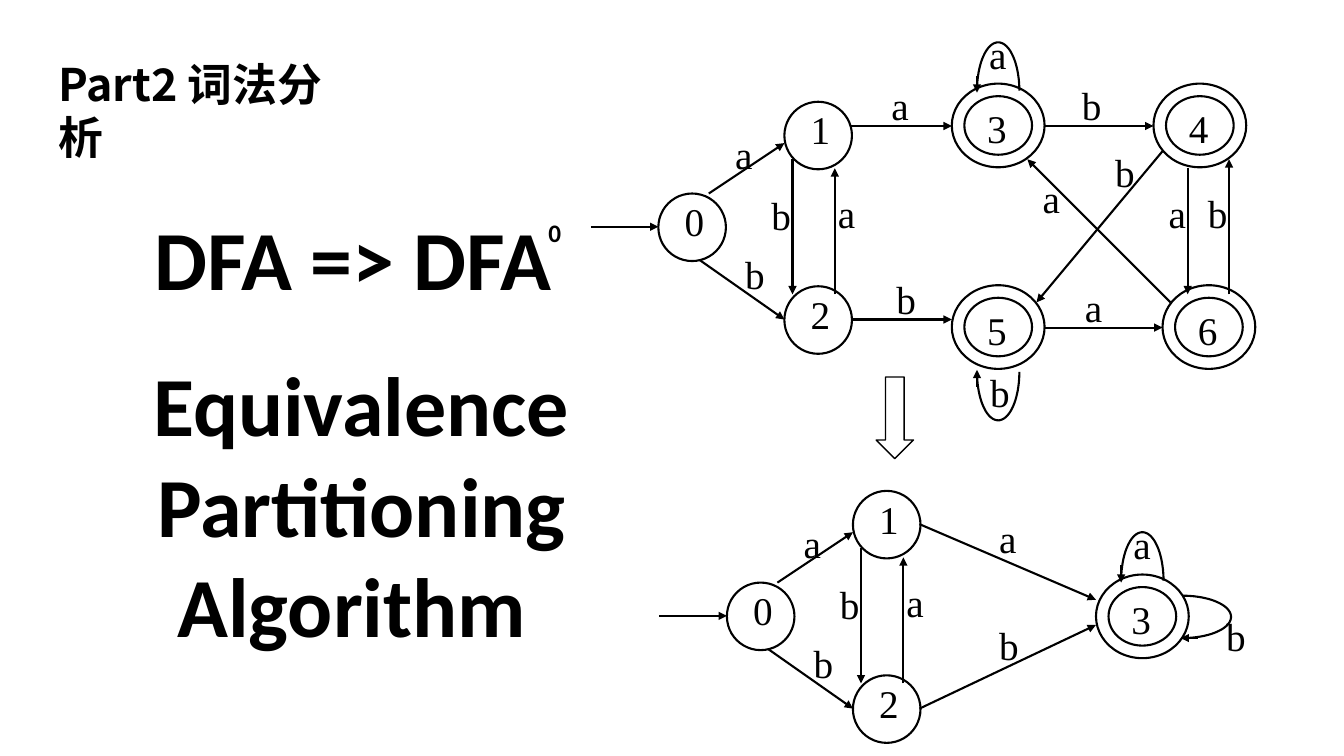
from dataclasses import dataclass
from math import cos, pi, sin

from lxml.etree import SubElement
from pptx import Presentation
from pptx.dml.color import RGBColor
from pptx.enum.shapes import MSO_CONNECTOR, MSO_SHAPE as Shape
from pptx.enum.text import MSO_ANCHOR as Anchor, MSO_AUTO_SIZE as AutoSize, PP_ALIGN as Align
from pptx.oxml.ns import qn
from pptx.util import Inches, Pt


@dataclass(frozen=True)
class Theme:
    ink: RGBColor = RGBColor(0, 0, 0)
    paper: RGBColor = RGBColor(255, 255, 255)
    heading_font: str = "Calibri"
    chapter_font: str = "Noto Sans CJK SC"
    state_font: str = "Times New Roman"
    heading_size: int = 60
    chapter_size: int = 32
    state_size: int = 28
    index_size: int = 18
    line: float = 1.5
    thin_line: float = 1


THEME = Theme()

# Content: headings
CHAPTER = "Part2 词法分析"
TITLE = "DFA => DFA"
ALGORITHM = "Equivalence Partitioning Algorithm "

# Content: states 0 to 2 and their arrows, shared by both automata (inches)
CORE = {
    "states": [("0", 6.53, 1.92), ("1", 7.78, 1.01), ("2", 7.78, 2.84)],
    "arrows": [
        (5.86, 2.25, 6.53, 2.25), (7.03, 1.92, 7.78, 1.42), (6.94, 2.58, 7.78, 3.17),
        (7.86, 1.58, 7.86, 2.92), (8.28, 2.92, 8.28, 1.67),
    ],
    "labels": [("a", 7.09, 1.24), ("a", 8.11, 1.83), ("b", 7.19, 2.43), ("b", 7.45, 1.85)],
}
CORE_SHIFTS = [(0, 0), (0.68, 3.86)]

# Content: the accepting part of each automaton; loops are (base x, base y, direction, arrow side)
UP, DOWN, LEFT, RIGHT = (0, -1), (0, 1), (-1, 0), (1, 0)
FULL = {
    "accepting": [("3", 9.44, 0.83), ("4", 11.44, 0.83), ("5", 9.44, 2.83), ("6", 11.53, 2.83)],
    "arrows": [
        (8.44, 1.25, 9.44, 1.25), (8.44, 3.17, 9.44, 3.17),
        (10.36, 1.25, 11.44, 1.25), (10.36, 3.25, 11.53, 3.25),
        (11.53, 1.5, 10.28, 3), (11.61, 3, 10.19, 1.58),
        (11.78, 1.67, 11.78, 2.92), (12.19, 2.92, 12.19, 1.58),
    ],
    "labels": [
        ("a", 8.64, 0.76), ("b", 8.69, 2.68), ("b", 10.53, 0.76), ("a", 10.56, 2.76),
        ("b", 10.86, 1.42), ("a", 10.14, 1.68), ("a", 11.39, 1.83), ("b", 11.78, 1.83),
        ("a", 9.61, 0.25), ("b", 9.62, 3.6),
    ],
    "loops": [(9.9, 0.9, UP, LEFT), (9.9, 3.69, DOWN, LEFT)],
}
MINIMAL = {
    "accepting": [("3", 10.87, 5.7)],
    "arrows": [(9.12, 5.2, 10.87, 5.95), (9.12, 7.03, 10.87, 6.2)],
    "labels": [("a", 9.71, 5.05), ("b", 9.71, 6.11), ("a", 11.04, 5.11), ("b", 11.96, 6.03)],
    "loops": [(11.33, 5.76, UP, LEFT), (11.73, 6.12, RIGHT, DOWN)],
}

# Measures
STATE = 0.67
RING = (0.92, 0.83)
RING_WIDTH = 0.15
STATE_LABEL, RING_LABEL = (0.06, -0.01), (0.15, 0.16)
LABEL = (0.48, 0.57)
LOOP_HEIGHT, LOOP_HALF, LOOP_STEPS = 0.48, 0.21, 40

presentation = Presentation()
presentation.slide_width, presentation.slide_height = Inches(13.33), Inches(7.5)
slide = presentation.slides.add_slide(presentation.slide_layouts[5])
slide.background.fill.solid()
slide.background.fill.fore_color.rgb = THEME.paper


def format_paragraph(paragraph, font_name, size, bold):
    font = paragraph.font
    font.name, font.size, font.bold = font_name, Pt(size), bold
    font.color.rgb = THEME.ink


def add_text(text, box, font_name, size, bold=True, wrap=True):
    shape = slide.shapes.add_textbox(*map(Inches, box))
    frame = shape.text_frame
    frame.word_wrap = wrap
    frame.text = text
    format_paragraph(frame.paragraphs[0], font_name, size, bold)
    return shape


def center_heading(shape):
    shape.text_frame.vertical_anchor = Anchor.MIDDLE
    shape.text_frame.paragraphs[0].alignment = Align.CENTER


def add_label(text, x, y):
    shape = add_text(text, (x, y, *LABEL), THEME.state_font, THEME.state_size, False, False)
    shape.text_frame.margin_left = Inches(0.2)


def outline(shape, width=THEME.line):
    shape.shadow.inherit = False
    shape.fill.background()
    shape.line.color.rgb = THEME.ink
    shape.line.width = Pt(width)


def add_outline(kind, x, y, width, height, line=THEME.line):
    shape = slide.shapes.add_shape(kind, *map(Inches, (x, y, width, height)))
    outline(shape, line)
    return shape


def add_state(name, x, y):
    add_outline(Shape.OVAL, x, y, STATE, STATE)
    add_label(name, x + STATE_LABEL[0], y + STATE_LABEL[1])


def add_accepting_state(name, x, y):
    ring = add_outline(Shape.DONUT, x, y, *RING)
    ring.adjustments[0] = RING_WIDTH
    add_label(name, x + RING_LABEL[0], y + RING_LABEL[1])


def add_arrow(x1, y1, x2, y2):
    arrow = slide.shapes.add_connector(MSO_CONNECTOR.STRAIGHT, *map(Inches, (x1, y1, x2, y2)))
    arrow.line.color.rgb = THEME.ink
    arrow.line.width = Pt(THEME.line)
    SubElement(arrow.line._get_or_add_ln(), qn("a:tailEnd"), type="triangle")
    SubElement(arrow._element.spPr, qn("a:effectLst"))


def add_loop(x, y, direction, side):
    def point(along, across):
        return (x + direction[0] * along + side[0] * across,
                y + direction[1] * along + side[1] * across)

    # Half an ellipse; the builder keeps whole units only, so its points are in EMU
    angles = [pi * step / LOOP_STEPS for step in range(LOOP_STEPS + 1)]
    points = [tuple(map(Inches, point(LOOP_HEIGHT * sin(angle), -LOOP_HALF * cos(angle))))
              for angle in angles]
    builder = slide.shapes.build_freeform(*points[0])
    builder.add_line_segments(points[1:], close=False)
    outline(builder.convert_to_shape())
    add_arrow(*point(0.15, LOOP_HALF), *point(-0.02, LOOP_HALF))


# Headings
title = slide.shapes.title
title.left, title.top, title.width, title.height = map(Inches, (0.91, 1.58, 5.18, 1.94))
title.text_frame.text = TITLE
title.text_frame.auto_size = AutoSize.NONE
format_paragraph(title.text_frame.paragraphs[0], THEME.heading_font, THEME.heading_size, True)
center_heading(title)
center_heading(add_text(ALGORITHM, (0.9, 3.69, 5.37, 2.61),
                        THEME.heading_font, THEME.heading_size))
add_text("0", (5.34, 2.11, 0.45, 0.4), THEME.heading_font, THEME.index_size)

# Chapter line, with the same font for Chinese
chapter = add_text(CHAPTER, (0.48, 0.51, 3.2, 0.64), THEME.chapter_font, THEME.chapter_size)
chapter_format = chapter.text_frame.paragraphs[0]._p.pPr.find(qn("a:defRPr"))
SubElement(chapter_format, qn("a:ea"), typeface=THEME.chapter_font)

# Shared states of both automata
for dx, dy in CORE_SHIFTS:
    for name, x, y in CORE["states"]:
        add_state(name, x + dx, y + dy)
    for x1, y1, x2, y2 in CORE["arrows"]:
        add_arrow(x1 + dx, y1 + dy, x2 + dx, y2 + dy)
    for text, x, y in CORE["labels"]:
        add_label(text, x + dx, y + dy)

# Accepting states of each automaton
DRAW = {"accepting": add_accepting_state, "arrows": add_arrow,
        "labels": add_label, "loops": add_loop}
for automaton in (FULL, MINIMAL):
    for part, draw in DRAW.items():
        for item in automaton[part]:
            draw(*item)

# Step from the full to the minimal automaton
add_outline(Shape.DOWN_ARROW, 8.69, 3.74, 0.37, 0.81, THEME.thin_line)

presentation.save("out.pptx")
